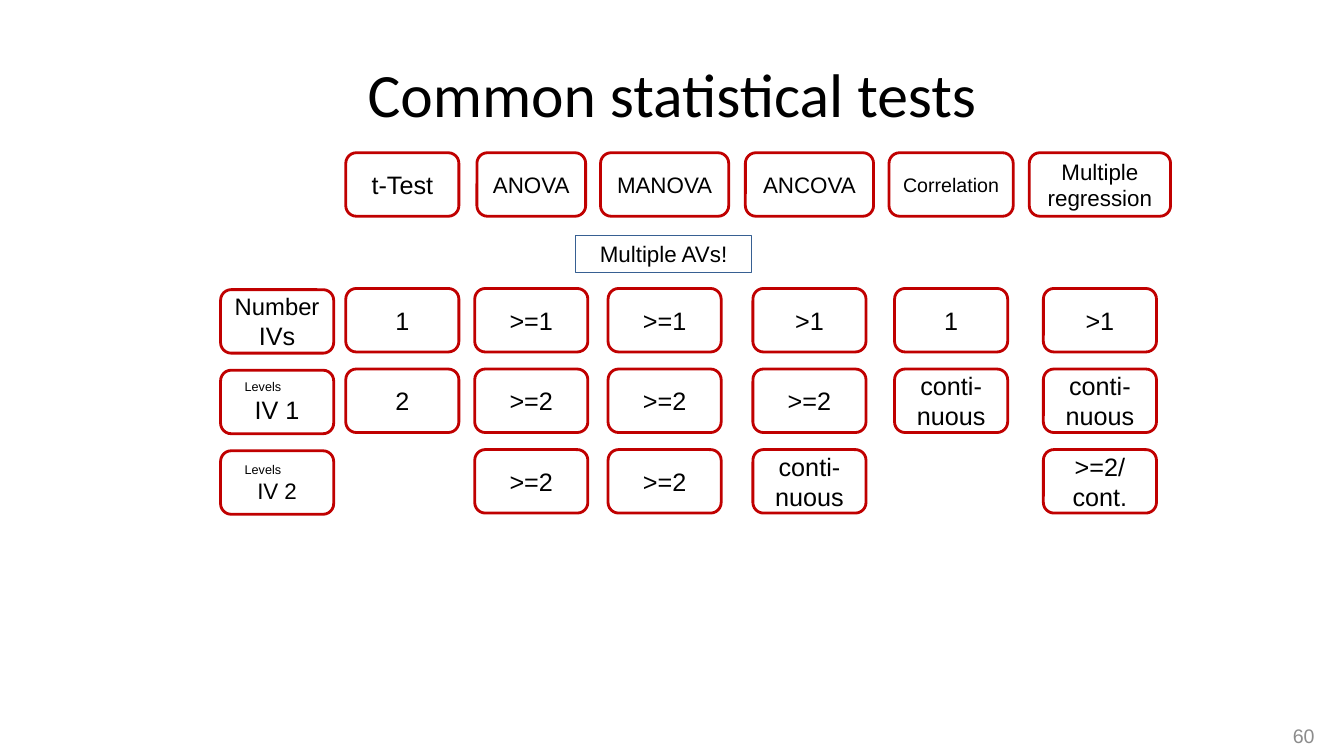
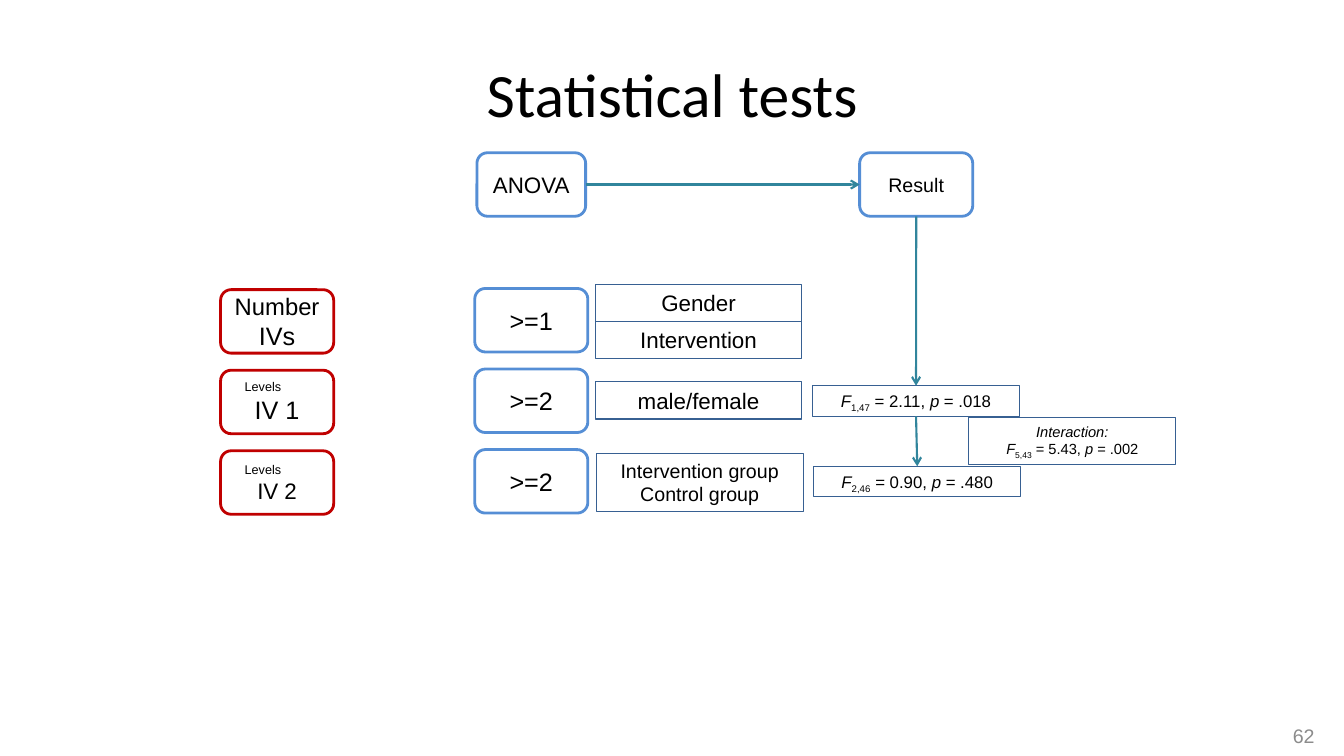
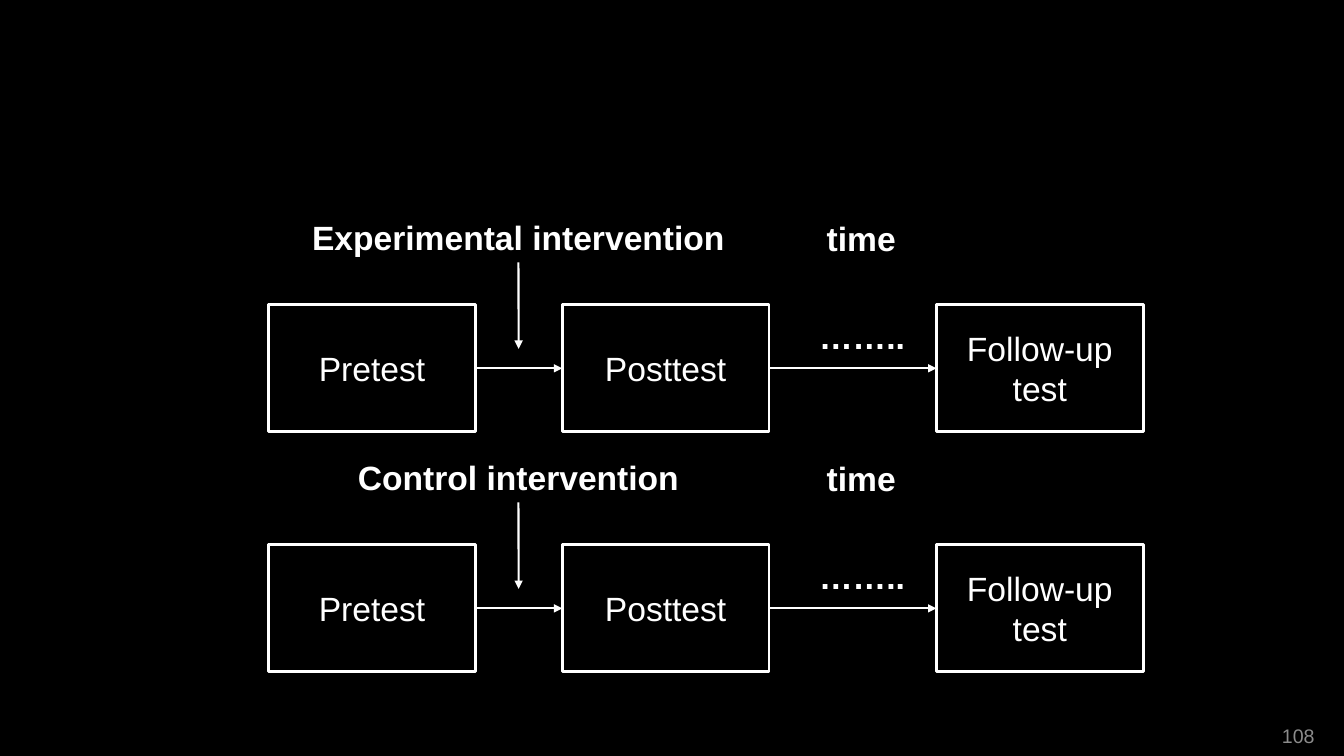
"""Builds three slides on statistical tests and an intervention design."""
from dataclasses import dataclass

from lxml import etree
from pptx import Presentation
from pptx import util as u
from pptx.dml.color import RGBColor
from pptx.enum import shapes, text
from pptx.oxml.ns import qn


@dataclass(frozen=True)
class Theme:
    ink: RGBColor = RGBColor(0, 0, 0)
    paper: RGBColor = RGBColor(255, 255, 255)
    red: RGBColor = RGBColor(0xC0, 0, 0)
    blue: RGBColor = RGBColor(0x55, 0x8E, 0xD5)
    navy: RGBColor = RGBColor(0x37, 0x60, 0x92)
    teal: RGBColor = RGBColor(0x31, 0x85, 0x9C)
    grey: RGBColor = RGBColor(0x8C, 0x8C, 0x8C)
    title_font: str = "Calibri"
    body_font: str = "Arial"
    title: float = 44
    design: float = 24
    cell: float = 18
    number: float = 17
    head: float = 16
    small: float = 14
    result: float = 12
    interaction: float = 10.5
    level: float = 9


THEME = Theme()
BOX_W, BOX_H = 2.85, 1.6
HEAD_TOP = 3.85
ROW_TOPS = [7.27, 9.3, 11.33]
LABEL_LEFT = 5.56
NOTE_W = 5.21
CENTRES = [10.14, 13.39, 16.75, 20.4, 23.97, 27.72]


def write(frame, lines, size=THEME.cell, color=THEME.ink, font=THEME.body_font,
          bold=False, align=text.PP_ALIGN.CENTER, anchor=text.MSO_ANCHOR.MIDDLE):
    frame.word_wrap = True
    frame.vertical_anchor = anchor
    for index, line in enumerate([lines] if isinstance(lines, str) else lines):
        paragraph = frame.paragraphs[0] if index == 0 else frame.add_paragraph()
        paragraph.alignment = align
        for words, style in [(line, {})] if isinstance(line, str) else line:
            run = paragraph.add_run()
            run.text = words
            run.font.name = font
            run.font.size = u.Pt(style.get("size", size))
            run.font.color.rgb = color
            run.font.bold = bold
            run.font.italic = style.get("italic", False)
            if style.get("sub"):
                run.font._element.set("baseline", "-25000")
            if "indent" in style:
                paragraph.alignment = text.PP_ALIGN.LEFT
                paragraph._p.get_or_add_pPr().set("marL", str(u.Cm(style["indent"])))


def f_stat(degrees, value, p):
    return [("F", {"italic": True}), (degrees, {"sub": True}), (f" = {value}, ", {}),
            ("p", {"italic": True}), (f" = {p}", {})]


class Deck:
    def __init__(self, theme):
        self.theme = theme
        self.file = Presentation()
        self.file.slide_width, self.file.slide_height = u.Cm(33.87), u.Cm(19.05)
        self.slide = None

    def start(self, number, title=None, background=None):
        self.slide = self.file.slides.add_slide(self.file.slide_layouts[5 if title else 6])
        fill = self.slide.background.fill
        fill.solid()
        fill.fore_color.rgb = background or self.theme.paper
        if title:
            heading = self.slide.shapes.title
            heading.left, heading.top = u.Cm(1.7), u.Cm(0.76)
            heading.width, heading.height = u.Cm(30.48), u.Cm(3.18)
            write(heading.text_frame, title, size=self.theme.title, font=self.theme.title_font)
        self.label(25.48, 18.03, 7.9, 1.02, str(number), size=self.theme.small,
                   color=self.theme.grey, align=text.PP_ALIGN.RIGHT)

    def label(self, left, top, width, height, words, **style):
        label = self.slide.shapes.add_textbox(u.Cm(left), u.Cm(top), u.Cm(width), u.Cm(height))
        write(label.text_frame, words, **style)
        return label

    def box(self, left, top, words, line, width=BOX_W, height=BOX_H, weight=2,
            kind=shapes.MSO_SHAPE.ROUNDED_RECTANGLE, **style):
        box = self.slide.shapes.add_shape(kind, u.Cm(left), u.Cm(top), u.Cm(width), u.Cm(height))
        box.shadow.inherit = False
        box.fill.background()
        box.line.color.rgb = line
        box.line.width = u.Pt(weight)
        write(box.text_frame, words, **style)
        return box

    def centred(self, centre, top, words, line, width=BOX_W, **style):
        return self.box(centre - width / 2, top, words, line, width, **style)

    def note(self, left, top, height, words, size=THEME.head, width=NOTE_W):
        note = self.box(left, top, words, self.theme.navy, width, height, 0.75,
                        shapes.MSO_SHAPE.RECTANGLE, size=size, anchor=text.MSO_ANCHOR.TOP)
        note.text_frame.auto_size = text.MSO_AUTO_SIZE.SHAPE_TO_FIT_TEXT
        return note

    def arrow(self, source, source_side, target=None, target_side=1, point=(0, 0),
              color=None, head="arrow"):
        x, y = point
        arrow = self.slide.shapes.add_connector(
            shapes.MSO_CONNECTOR.STRAIGHT, u.Cm(x), u.Cm(y), u.Cm(x), u.Cm(y))
        arrow.begin_connect(source, source_side)
        if target is not None:
            arrow.end_connect(target, target_side)
        arrow.line.color.rgb = color or self.theme.teal
        arrow.line.width = u.Pt(1.5)
        etree.SubElement(arrow.line._get_or_add_ln(), qn("a:tailEnd"), type=head)
        etree.SubElement(arrow._element.spPr, qn("a:effectLst"))

    def row_labels(self):
        theme = self.theme
        level = ("Levels", {"size": theme.level, "indent": 0.28})
        labels = [
            [[("Number ", {"size": theme.number}), ("IVs", {})]],
            [[level], [("IV 1", {})]],
            [[level], [("IV 2", {"size": theme.head})]],
        ]
        for top, words in zip(ROW_TOPS, labels):
            self.box(LABEL_LEFT, top + 0.03, words, theme.red)


def common_tests(deck):
    theme = deck.theme
    deck.start(60, "Common statistical tests")
    tests = [
        ("t-Test", 2.85, theme.cell, ["1", "2"]),
        ("ANOVA", 2.74, theme.head, [">=1", ">=2", ">=2"]),
        ("MANOVA", 3.23, theme.head, [">=1", ">=2", ">=2"]),
        ("ANCOVA", 3.23, theme.head, [">1", ">=2", "conti-nuous"]),
        ("Correlation", 3.13, theme.small, ["1", "conti-nuous"]),
        ("Multiple regression", 3.56, theme.head, [">1", "conti-nuous", ">=2/cont."]),
    ]
    for centre, (name, width, size, values) in zip(CENTRES, tests):
        deck.centred(centre, HEAD_TOP, name, theme.red, width, size=size)
        for top, value in zip(ROW_TOPS, values):
            deck.centred(centre, top, value, theme.red)
    deck.row_labels()
    deck.note(14.5, 5.93, 0.94, "Multiple AVs!", width=4.45)


def anova_example(deck):
    theme = deck.theme
    deck.start(62, "Statistical tests")
    deck.row_labels()
    anova = deck.centred(CENTRES[1], HEAD_TOP, "ANOVA", theme.blue, 2.74, size=theme.head)
    for top, value in zip(ROW_TOPS, [">=1", ">=2", ">=2"]):
        deck.centred(CENTRES[1], top, value, theme.blue)
    result = deck.centred(23.09, HEAD_TOP, "Result", theme.blue, size=theme.small)
    deck.note(15, 7.16, 0.94, "Gender")
    deck.note(15, 8.1, 0.94, "Intervention")
    deck.note(15, 9.62, 0.94, "male/female")
    deck.note(15.03, 11.43, 1.46, ["Intervention group", "Control group"], theme.small)
    first = deck.note(20.48, 9.72, 0.77, [f_stat("1,47", "2.11", ".018")], theme.result)
    second = deck.note(20.51, 11.75, 0.77, [f_stat("2,46", "0.90", ".480")], theme.result)
    interaction = [[("Interaction:", {"italic": True})], f_stat("5,43", "5.43", ".002")]
    deck.note(24.42, 10.52, 1.19, interaction, theme.interaction)
    deck.arrow(anova, 3, result, 1)
    deck.arrow(result, 2, first, 0)
    deck.arrow(first, 2, second, 0)


def intervention_design(deck):
    theme = deck.theme
    deck.start(108, background=theme.ink)
    design = {"size": theme.design, "color": theme.paper}
    caption = dict(design, bold=True, anchor=text.MSO_ANCHOR.TOP)
    white = {"color": theme.paper, "head": "triangle"}
    for top, group in [(7.68, "Experimental"), (13.73, "Control")]:
        pretest, posttest, follow_up = [
            deck.box(left, top, name, theme.paper, 5.21, 3.2,
                     kind=shapes.MSO_SHAPE.RECTANGLE, **design)
            for left, name in [(6.77, "Pretest"), (14.17, "Posttest"), (23.6, "Follow-up test")]]
        intervention = deck.label(5.66, top - 2.34, 14.81, 1.27,
                                  f"{group} intervention", **caption)
        deck.label(14.3, top - 2.32, 14.81, 1.27, "time", **caption)
        deck.label(14.32, top + 0.15, 14.81, 1.27, "……..", **caption)
        deck.arrow(pretest, 3, posttest, 1, **white)
        deck.arrow(posttest, 3, follow_up, 1, **white)
        deck.arrow(intervention, 2, point=(13.07, top + 1.11), **white)


def main():
    deck = Deck(THEME)
    common_tests(deck)
    anova_example(deck)
    intervention_design(deck)
    deck.file.save("out.pptx")


if __name__ == "__main__":
    main()
